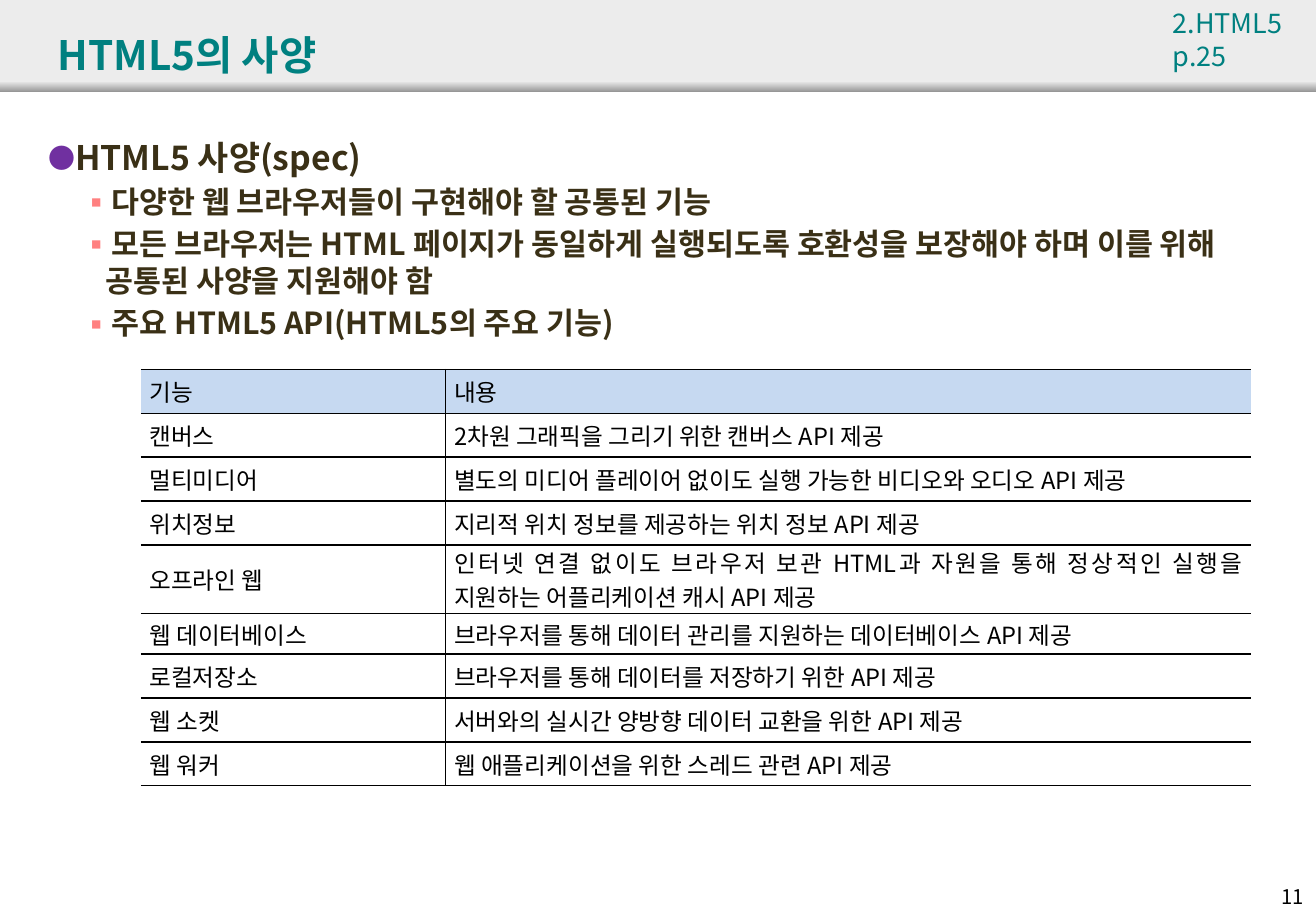
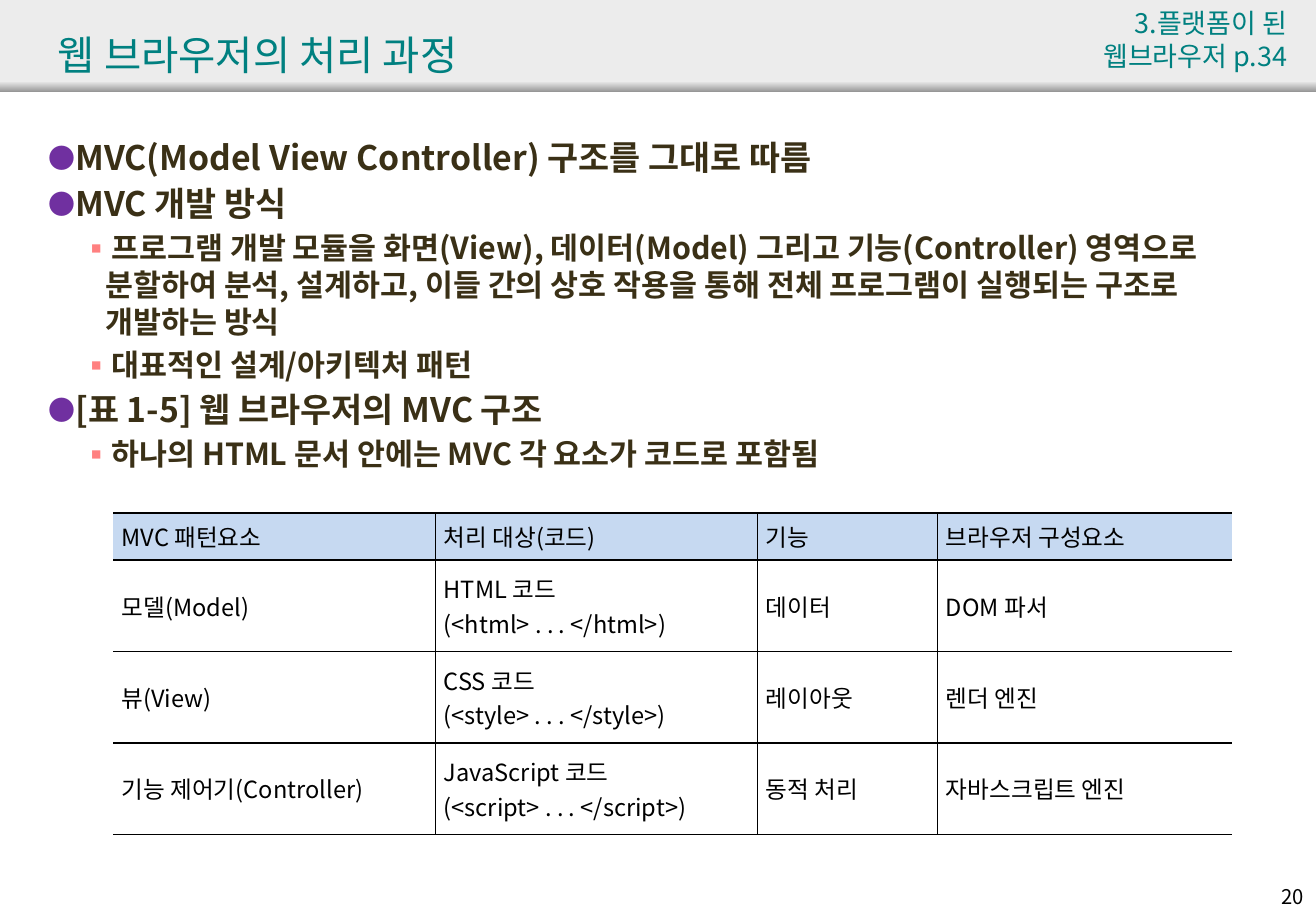
from lxml.etree import SubElement
from pptx import Presentation
from pptx.dml.color import RGBColor
from pptx.enum.shapes import MSO_SHAPE
from pptx.enum.text import MSO_ANCHOR, MSO_AUTO_SIZE, PP_ALIGN
from pptx.oxml import parse_xml
from pptx.oxml.ns import nsdecls, qn
from pptx.util import Pt

FONT = "Noto Sans CJK KR"
WIDE, HIGH = 780, 540
COLORS = {
    "band": "ECECEC", "edge": "979797", "teal": "008080", "body": "3A3016",
    "dot": "7030A0", "box": "FF8080", "head": "C6D9F1", "ink": "000000",
}
# Outline levels: size, line height, indent, bullet, bullet colour, bullet scale
LEVELS = [
    (20, 24.4, 14.4, "●", "dot", 80),
    (18, 21.9, 33.8, "▪", "box", 100),
]


def rgb(name):
    return RGBColor.from_string(COLORS[name])


class Deck:
    """Shared style and the slide being filled."""

    def __init__(self):
        self.prs = Presentation()
        self.prs.slide_width, self.prs.slide_height = Pt(WIDE), Pt(HIGH)
        self.layout = self.prs.slide_layouts[5]
        self.slide = None

    def start(self, title, number, bold=False):
        first = self.slide is None
        self.slide = self.prs.slides.add_slide(self.layout)
        if first:
            self.bands()
        # Title
        head = self.slide.shapes.title
        head.left, head.top, head.width, head.height = Pt(27), Pt(9.5), Pt(714), Pt(45)
        frame = head.text_frame
        frame.auto_size = MSO_AUTO_SIZE.NONE
        frame.vertical_anchor = MSO_ANCHOR.MIDDLE
        self.text(frame.paragraphs[0], title, 24, "teal", bold, PP_ALIGN.LEFT)
        # Page number
        frame = self.frame(741, 520.5, 39, 19.5)
        self.text(frame.paragraphs[0], number, 12, "ink", False, PP_ALIGN.RIGHT, 14.6)

    def bands(self):
        """Draw the header bands and hand them to the shared layout."""
        for spot, (top, high) in enumerate([(0, 54), (48.2, 6.2)]):
            band = self.slide.shapes.add_shape(
                MSO_SHAPE.RECTANGLE, 0, Pt(top), Pt(WIDE), Pt(high))
            band.shadow.inherit = False
            band.line.fill.background()
            if spot == 0:
                band.fill.solid()
                band.fill.fore_color.rgb = rgb("band")
            else:
                band.fill.gradient()
                band.fill.gradient_angle = 270
                for stop, name in zip(band.fill.gradient_stops, ("band", "edge")):
                    stop.color.rgb = rgb(name)
            self.layout.shapes.element.insert(2 + spot, band.element)

    def frame(self, left, top, wide, high):
        box = self.slide.shapes.add_textbox(Pt(left), Pt(top), Pt(wide), Pt(high))
        box.text_frame.word_wrap = True
        return box.text_frame

    def text(self, para, words, size, color, bold=False, align=None, line=None):
        para.alignment = align
        if line:
            para.line_spacing = Pt(line)
        for i, part in enumerate(words.split("\n")):
            if i:
                para.add_line_break()
            run = para.add_run()
            run.text = part
            font = run.font
            font.name, font.size, font.bold = FONT, Pt(size), bold
            font.color.rgb = rgb(color)
            SubElement(run._r.get_or_add_rPr(), qn("a:ea"), typeface=FONT)

    def corner(self, words, left, wide, align):
        frame = self.frame(left, 0, wide, 46)
        self.text(frame.paragraphs[0], words, 16, "teal", False, align, 19.5)

    def outline(self, items):
        frame = self.frame(21.6, 77, 743, 448)
        for i, (level, words) in enumerate(items):
            size, line, left, mark, tint, scale = LEVELS[level]
            para = frame.add_paragraph() if i else frame.paragraphs[0]
            para.level = level
            if i:
                para.space_before = Pt(3.2)
            self.text(para, words, size, "body", True, PP_ALIGN.LEFT, line)
            # Hanging bullet
            props = para._p.get_or_add_pPr()
            props.set("marL", str(Pt(left)))
            props.set("indent", str(-Pt(14.4)))
            hue = SubElement(props, qn("a:buClr"))
            SubElement(hue, qn("a:srgbClr"), val=COLORS[tint])
            SubElement(props, qn("a:buSzPct"), val=str(scale * 1000))
            SubElement(props, qn("a:buFont"), typeface=FONT)
            SubElement(props, qn("a:buChar"), char=mark)

    def table(self, left, top, cols, rows, cells):
        grid = self.slide.shapes.add_table(
            len(rows), len(cols), Pt(left), Pt(top), Pt(sum(cols)), Pt(sum(rows))).table
        grid.first_row = grid.horz_banding = False
        for col, wide in zip(grid.columns, cols):
            col.width = Pt(wide)
        for row, high in zip(grid.rows, rows):
            row.height = Pt(high)
        for r, texts in enumerate(cells):
            for c, words in enumerate(texts):
                cell = grid.cell(r, c)
                cell.margin_left = cell.margin_right = Pt(5)
                cell.margin_top = cell.margin_bottom = 0
                cell.vertical_anchor = MSO_ANCHOR.MIDDLE
                if r:
                    cell.fill.background()
                else:
                    cell.fill.solid()
                    cell.fill.fore_color.rgb = rgb("head")
                for i, part in enumerate(words.split("\n")):
                    frame = cell.text_frame
                    para = frame.add_paragraph() if i else frame.paragraphs[0]
                    self.text(para, part, 14, "ink", False, PP_ALIGN.JUSTIFY, 20.4)
                self.rule(cell, c > 0, c < len(cols) - 1)

    def rule(self, cell, left, right):
        """Line above and below; at the sides only between columns."""
        props = cell._tc.get_or_add_tcPr()
        ink = f'<a:solidFill><a:srgbClr val="{COLORS["ink"]}"/></a:solidFill>'
        sides = {"L": left, "R": right, "T": True, "B": True}
        for i, (side, shown) in enumerate(sides.items()):
            fill = ink if shown else "<a:noFill/>"
            props.insert(i, parse_xml(
                f'<a:ln{side} {nsdecls("a")} w="{Pt(1)}">{fill}</a:ln{side}>'))


def main():
    deck = Deck()

    # HTML5 features
    deck.start("HTML5의 사양", "11", bold=True)
    deck.outline([
        (0, "HTML5 사양(spec)"),
        (1, "다양한 웹 브라우저들이 구현해야 할 공통된 기능"),
        (1, "모든 브라우저는 HTML 페이지가 동일하게 실행되도록 호환성을 보장해야 하며 "
            "이를 위해 공통된 사양을 지원해야 함"),
        (1, "주요 HTML5 API(HTML5의 주요 기능)"),
    ])
    deck.table(83.5, 219, [180.7, 477.4], [26] * 4 + [39, 24] + [26] * 3, [
        ("기능", "내용"),
        ("캔버스", "2차원 그래픽을 그리기 위한 캔버스 API 제공"),
        ("멀티미디어", "별도의 미디어 플레이어 없이도 실행 가능한 비디오와 오디오 API 제공"),
        ("위치정보", "지리적 위치 정보를 제공하는 위치 정보 API 제공"),
        ("오프라인 웹", "인터넷 연결 없이도 브라우저 보관 HTML과 자원을 통해 정상적인 실행을 "
                   "지원하는 어플리케이션 캐시 API 제공"),
        ("웹 데이터베이스", "브라우저를 통해 데이터 관리를 지원하는 데이터베이스 API 제공"),
        ("로컬저장소", "브라우저를 통해 데이터를 저장하기 위한 API 제공"),
        ("웹 소켓", "서버와의 실시간 양방향 데이터 교환을 위한 API 제공"),
        ("웹 워커", "웹 애플리케이션을 위한 스레드 관련 API 제공"),
    ])
    deck.corner("2.HTML5\np.25", 688, 88, PP_ALIGN.JUSTIFY)

    # MVC in the browser
    deck.start("웹 브라우저의 처리 과정", "20")
    deck.outline([
        (0, "MVC(Model View Controller) 구조를 그대로 따름"),
        (0, "MVC 개발 방식"),
        (1, "프로그램 개발 모듈을 화면(View), 데이터(Model) 그리고 기능(Controller) 영역으로 "
            "분할하여 분석, 설계하고, 이들 간의 상호 작용을 통해 전체 프로그램이 실행되는 구조로 "
            "개발하는 방식"),
        (1, "대표적인 설계/아키텍처 패턴"),
        (0, "[표 1-5] 웹 브라우저의 MVC 구조"),
        (1, "하나의 HTML 문서 안에는 MVC 각 요소가 코드로 포함됨"),
    ])
    deck.table(67, 304, [191, 191, 106.7, 174.4], [28] + [54.2] * 3, [
        ("MVC 패턴요소", "처리 대상(코드)", "기능", "브라우저 구성요소"),
        ("모델(Model)", "HTML 코드\n(<html> . . . </html>)", "데이터", "DOM 파서"),
        ("뷰(View)", "CSS 코드\n(<style> . . . </style>)", "레이아웃", "렌더 엔진"),
        ("기능 제어기(Controller)", "JavaScript 코드\n(<script> . . . </script>)",
         "동적 처리", "자바스크립트 엔진"),
    ])
    deck.corner("3.플랫폼이 된\n웹브라우저 p.34", 618, 152, PP_ALIGN.RIGHT)

    deck.prs.save("out.pptx")


if __name__ == "__main__":
    main()
